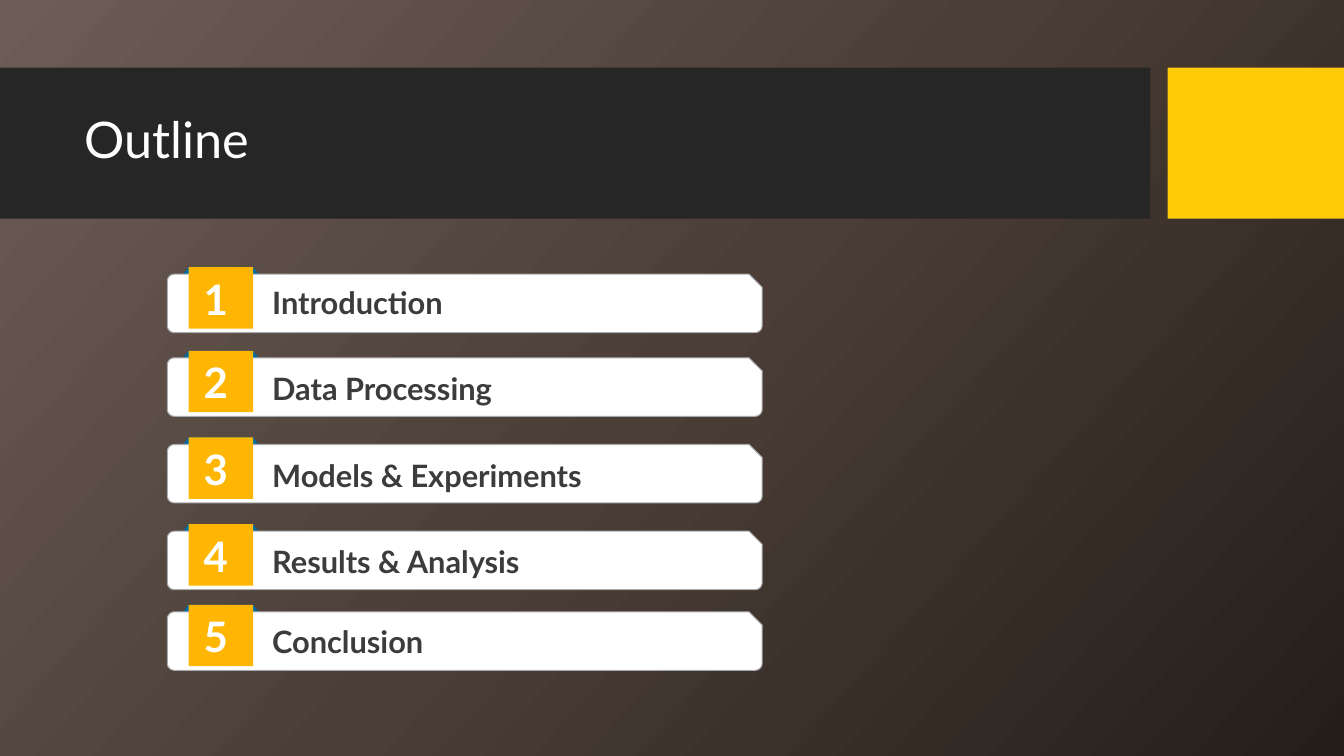
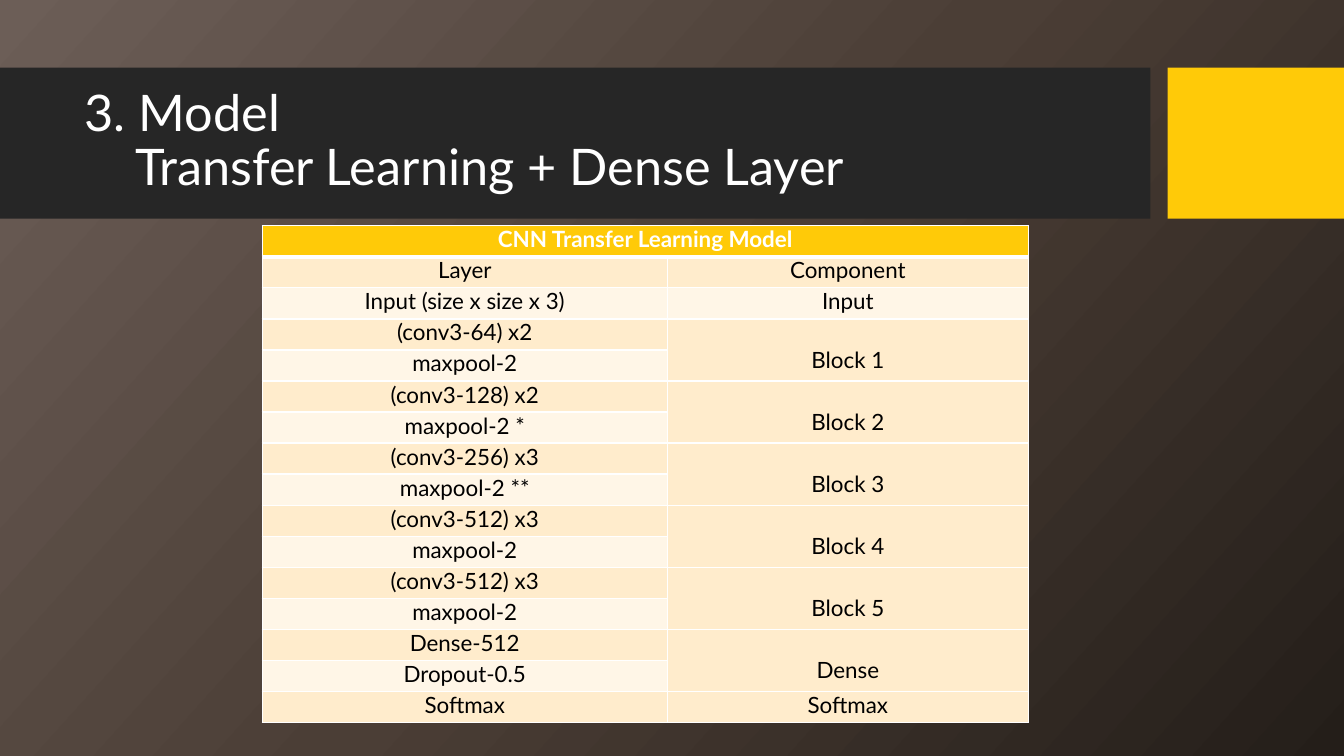
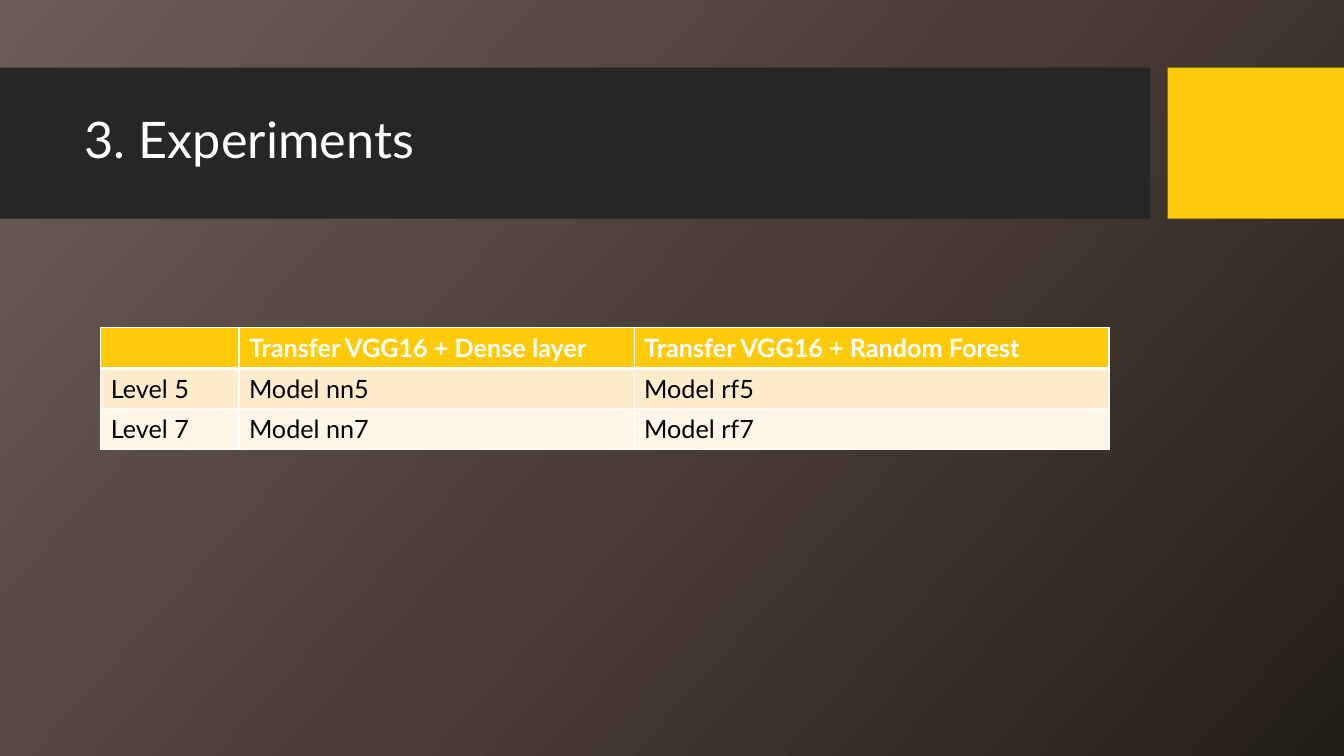
from copy import deepcopy
from math import cos, radians, sin

from lxml.etree import SubElement
from pptx import Presentation
from pptx.dml.color import RGBColor
from pptx.enum.shapes import MSO_SHAPE
from pptx.enum.text import MSO_ANCHOR, MSO_AUTO_SIZE, PP_ALIGN
from pptx.oxml.ns import qn
from pptx.util import Inches, Pt

FONT = "Lato"
COLORS = {
    "band": "262626", "accent": "FFCA08", "white": "FFFFFF", "black": "000000",
    "badge": "FFB602", "fold": "006BA0", "edge": "A8A9AD", "label": "3C3C3C",
    "odd_row": "FFECCC", "even_row": "FFF6E7",
}
BACKGROUND = [(0, "6C5E57"), (0.5, "4B3E36"), (1, "241E19")]
BANDS = [(0, 11.41, "band"), (11.58, 1.75, "accent")]

OUTLINE = [
    ("Introduction", 2.65, 2.77),
    ("Data Processing", 3.48, 3.63),
    ("Models & Experiments", 4.34, 4.49),
    ("Results & Analysis", 5.2, 5.34),
    ("Conclusion", 6, 6.14),
]
MODEL_ROWS = [
    ("CNN Transfer Learning Model", None),
    ("Layer", "Component"),
    ("Input (size x size x 3)", "Input"),
    ("(conv3-64) x2", "Block 1"),
    ("maxpool-2", None),
    ("(conv3-128) x2", "Block 2"),
    ("maxpool-2 *", None),
    ("(conv3-256) x3", "Block 3"),
    ("maxpool-2 **", None),
    ("(conv3-512) x3", "Block 4"),
    ("maxpool-2", None),
    ("(conv3-512) x3", "Block 5"),
    ("maxpool-2", None),
    ("Dense-512", "Dense"),
    ("Dropout-0.5", None),
    ("Softmax", "Softmax"),
]
EXPERIMENT_ROWS = [
    ("", "Transfer VGG16 + Dense layer", "Transfer VGG16 + Random Forest"),
    ("Level 5", "Model nn5", "Model rf5"),
    ("Level 7", "Model nn7", "Model rf7"),
]


def rgb(name):
    return RGBColor.from_string(COLORS[name])


def add_run(paragraph, text, size, color, bold=False):
    run = paragraph.add_run()
    run.text = text
    font = run.font
    font.name, font.size, font.bold = FONT, Pt(size), bold
    font.color.rgb = rgb(color)


def paint(shape, fill, line=None):
    shape.shadow.inherit = False
    shape.fill.solid()
    shape.fill.fore_color.rgb = rgb(fill)
    if line:
        shape.line.color.rgb = rgb(line)
        shape.line.width = Pt(0.75)
    else:
        shape.line.fill.background()


def add_rectangle(slide, left, top, width, height, fill):
    shape = slide.shapes.add_shape(
        MSO_SHAPE.RECTANGLE, *map(Inches, (left, top, width, height)))
    paint(shape, fill)
    return shape


def add_outline(slide, points, fill, line=None):
    corners = [(Inches(x), Inches(y)) for x, y in points]
    builder = slide.shapes.build_freeform(*corners[0])
    builder.add_line_segments(corners[1:])
    paint(builder.convert_to_shape(), fill, line)


def add_text(slide, left, top, width, height, text, size, color):
    frame = slide.shapes.add_textbox(
        *map(Inches, (left, top, width, height))).text_frame
    frame.word_wrap = True
    frame.margin_left = frame.margin_right = Inches(0.07)
    frame.margin_top = frame.margin_bottom = Inches(0.04)
    add_run(frame.paragraphs[0], text, size, color, bold=True)


def style_layout(layout):
    for placeholder in list(layout.placeholders):
        if placeholder.placeholder_format.idx:
            placeholder.element.getparent().remove(placeholder.element)
    title = layout.placeholders[0]
    title.left, title.top, title.width, title.height = map(
        Inches, (0.74, 0.82, 10.51, 1.18))
    fill = layout.background.fill
    fill.gradient()
    fill.gradient_angle = 360 - 42
    stops = layout.element.xpath(".//a:gsLst")[0]
    stops.append(deepcopy(stops[0]))
    for stop, (position, color) in zip(fill.gradient_stops, BACKGROUND):
        stop.position = position
        stop.color.rgb = RGBColor.from_string(color)


def move_bands_to_layout(slide):
    bands = [add_rectangle(slide, left, 0.67, width, 1.5, color)
             for left, width, color in BANDS]
    for index, band in enumerate(bands):
        slide.slide_layout.shapes.element.insert(2 + index, band.element)


def add_slide(presentation, layout, *title_lines):
    slide = presentation.slides.add_slide(layout)
    frame = slide.shapes.title.text_frame
    frame.auto_size = MSO_AUTO_SIZE.NONE
    frame.vertical_anchor = MSO_ANCHOR.MIDDLE
    paragraph = frame.paragraphs[0]
    paragraph.alignment = PP_ALIGN.LEFT
    paragraph.line_spacing = 0.9
    for index, line in enumerate(title_lines):
        if index:
            paragraph.add_line_break()
            properties = paragraph._p.get_or_add_pPr()
            properties.set("marL", str(Inches(0.5)))
            properties.set("indent", str(-Inches(0.5)))
        add_run(paragraph, line, 36, "white")
    return slide


def arc(center_x, center_y, radius, start):
    angles = [radians(start + step) for step in range(0, 91, 15)]
    return [(center_x + radius * cos(a), center_y + radius * sin(a)) for a in angles]


def panel_points(top):
    left, right, bottom, radius, snip = 1.66, 7.56, top + 0.58, 0.07, 0.13
    return [
        *arc(left + radius, top + radius, radius, 180),
        (right - snip, top), (right, top + snip),
        *arc(right - radius, bottom - radius, radius, 0),
        *arc(left + radius, bottom - radius, radius, 90),
    ]


def add_outline_item(slide, number, label, top, label_top):
    fold = [(1.87, top), (2.51, top), (2.58, top + 0.09), (1.8, top + 0.09)]
    add_outline(slide, fold, "fold")
    add_outline(slide, panel_points(top + 0.07), "white", "edge")
    add_rectangle(slide, 1.87, top, 0.64, 0.61, "badge")
    add_text(slide, 2.63, label_top, 4.33, 0.45, label, 22, "label")
    add_text(slide, 1.95, top + 0.02, 0.44, 0.58, str(number), 30, "white")


def set_borders(cell, row):
    properties = cell._tc.get_or_add_tcPr()
    widths = {"lnL": 1, "lnR": 1, "lnT": 3 if row == 1 else 1, "lnB": 1 if row else 3}
    for side, width in widths.items():
        line = SubElement(properties, qn(f"a:{side}"), w=str(Pt(width)))
        fill = SubElement(line, qn("a:solidFill"))
        SubElement(fill, qn("a:srgbClr"), val=COLORS["white"])


def add_table(slide, rows, left, top, widths, row_height, size, alignment, margins):
    table = slide.shapes.add_table(
        len(rows), len(widths), Inches(left), Inches(top),
        Inches(sum(widths)), Inches(row_height * len(rows))).table
    table.horz_banding = False
    for column, width in zip(table.columns, widths):
        column.width = Inches(width)
    for row, texts in enumerate(rows):
        table.rows[row].height = Inches(row_height)
        for column, text in enumerate(texts):
            cell = table.cell(row, column)
            cell.margin_left = cell.margin_right = Inches(margins[0])
            cell.margin_top = cell.margin_bottom = Inches(margins[1])
            set_borders(cell, row)
            cell.fill.solid()
            band = "odd_row" if row % 2 else "even_row"
            cell.fill.fore_color.rgb = rgb(band if row else "accent")
            if text:
                paragraph = cell.text_frame.paragraphs[0]
                paragraph.alignment = alignment
                add_run(paragraph, text, size, "black" if row else "white", not row)
            elif text is None and row:
                above = table.cell(row - 1, column)
                above.merge(cell)
                above.margin_top = Inches(0.27)
            elif text is None:
                table.cell(row, column - 1).merge(cell)


def main():
    presentation = Presentation()
    presentation.slide_width, presentation.slide_height = Inches(13.33), Inches(7.5)
    layout = presentation.slide_layouts[5]
    style_layout(layout)

    outline = add_slide(presentation, layout, "Outline")
    move_bands_to_layout(outline)
    for number, item in enumerate(OUTLINE, 1):
        add_outline_item(outline, number, *item)

    model = add_slide(presentation, layout, "3. Model", "Transfer Learning + Dense Layer")
    add_table(model, MODEL_ROWS, 2.6, 2.24, (4.02, 3.58), 4.93 / len(MODEL_ROWS),
              16, PP_ALIGN.CENTER, (0.07, 0))

    experiments = add_slide(presentation, layout, "3. Experiments")
    add_table(experiments, EXPERIMENT_ROWS, 1, 3.25, (1.37, 3.92, 4.71), 0.4,
              18, PP_ALIGN.LEFT, (0.1, 0.05))

    presentation.save("out.pptx")


if __name__ == "__main__":
    main()
